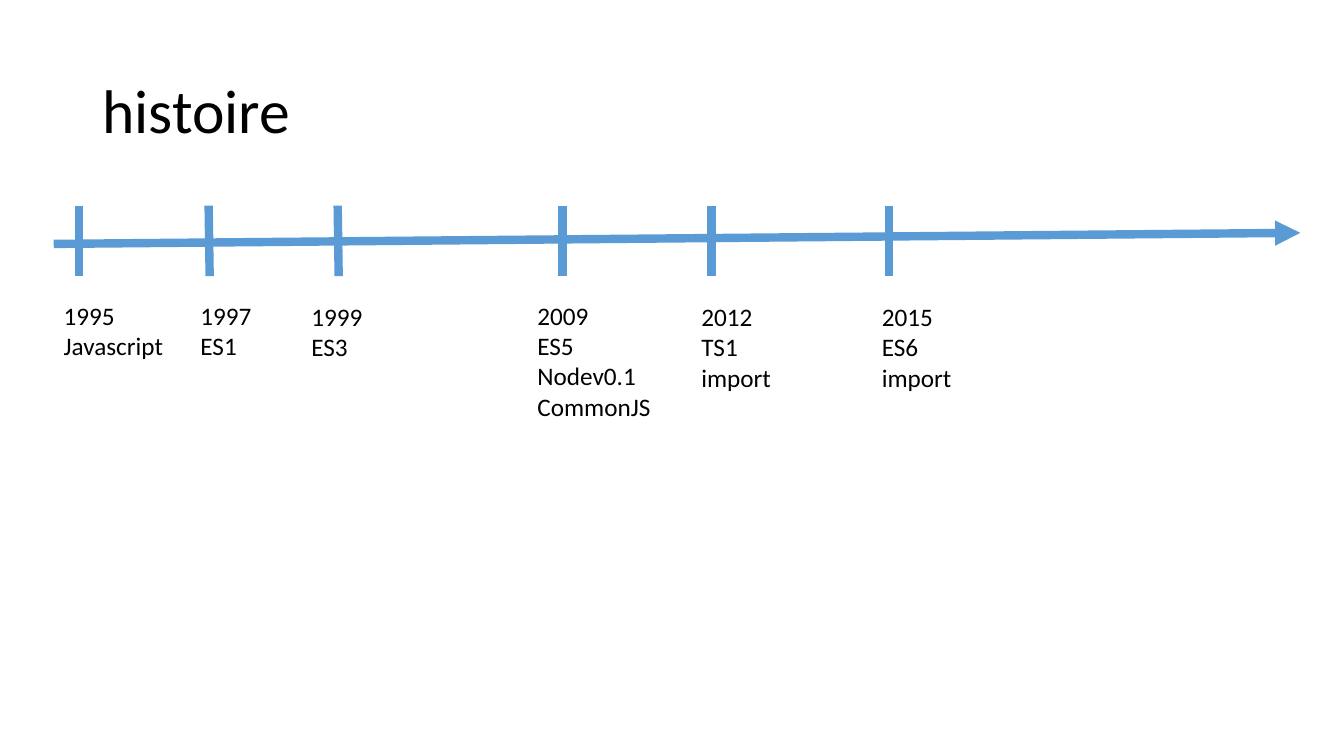
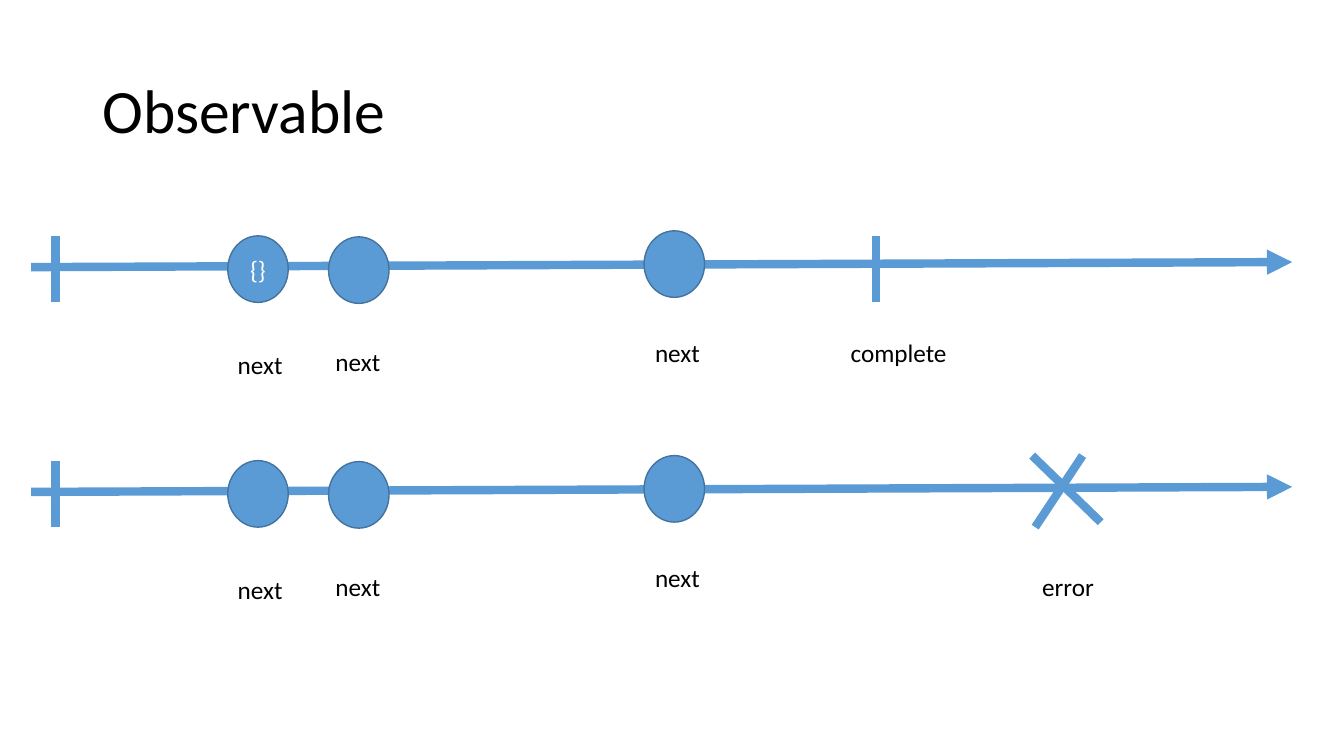
import pptx
import pptx.dml.color
import pptx.enum.shapes
import pptx.enum.text
import pptx.oxml.ns
import pptx.util
from lxml import etree

# Grid: 40 columns by 22.5 rows, each a third of an inch
COLUMNS, ROWS = 40, 22.5
CELL = pptx.util.Inches(1) / 3

# Shared style
FONT = "Calibri"
BLACK, WHITE = "000000", "FFFFFF"
BLUE, OUTLINE = "5B9BD5", "43739E"
BODY_SIZE, TITLE_SIZE, STROKE = 18, 44, 6

# Label height: box margins plus one line per paragraph
LABEL_MARGIN, LABEL_LINE = 0.3, 0.91

# History: tick top, tick bottom, and tick x, tick lean, label x, y, width, lines
TICK_TOP, TICK_BOTTOM = 6.12, 8.22
MILESTONES = [
    (2.36, 0, 1.6, 8.79, 3.6, ["1995", "Javascript"]),
    (6.21, 0.03, 5.67, 8.79, 2.13, ["1997", "ES1"]),
    (10.05, 0.03, 8.97, 8.82, 2.13, ["1999", "ES3"]),
    (16.74, 0, 15.7, 8.79, 4.02, ["2009", "ES5", "Nodev0.1", "CommonJS"]),
    (21.18, 0, 20.58, 8.82, 2.7, ["2012", "TS1", "import"]),
    (26.46, 0, 25.95, 8.82, 2.7, ["2015", "ES6", "import"]),
]

# Observable: the streams repeat at one pitch; events are relative to their top
STREAM_TOP, STREAM_PITCH = 7.02, 6.69
MARK_WIDTH, MARK_HEIGHT = 1.8, 1.98
# circle x, circle y, label x, label y
EVENTS = [
    (6.78, 0, 6.78, 3.24),
    (9.78, 0.03, 9.69, 3.15),
    (19.17, -0.15, 19.2, 2.88),
]


def grid(*cells):
    return [pptx.util.Emu(round(cell * CELL)) for cell in cells]


def color(value):
    return pptx.dml.color.RGBColor.from_string(value)


def write(frame, lines, size, ink, align=None, spacing=None):
    for index, line in enumerate(lines):
        para = frame.paragraphs[0] if index == 0 else frame.add_paragraph()
        para.text = line
        para.font.name = FONT
        para.font.size = pptx.util.Pt(size)
        para.font.color.rgb = color(ink)
        para.alignment = align
        para.line_spacing = spacing


def add_page(deck, title):
    page = deck.slides.add_slide(deck.slide_layouts[6])
    frame = page.shapes.add_textbox(*grid(2.75, 1.2, 34.5, 4.35)).text_frame
    frame.word_wrap = True
    frame.vertical_anchor = pptx.enum.text.MSO_ANCHOR.MIDDLE
    write(frame, [title], TITLE_SIZE, BLACK, spacing=0.9)
    return page


def add_label(page, left, top, width, lines):
    height = LABEL_MARGIN + LABEL_LINE * len(lines)
    frame = page.shapes.add_textbox(*grid(left, top, width, height)).text_frame
    frame.word_wrap = False
    frame.auto_size = pptx.enum.text.MSO_AUTO_SIZE.SHAPE_TO_FIT_TEXT
    write(frame, lines, BODY_SIZE, BLACK)


def add_stroke(page, start_x, start_y, end_x, end_y, arrow=False):
    stroke = page.shapes.add_connector(
        pptx.enum.shapes.MSO_CONNECTOR.STRAIGHT,
        *grid(start_x, start_y, end_x, end_y))
    stroke.line.color.rgb = color(BLUE)
    stroke.line.width = pptx.util.Pt(STROKE)
    name = pptx.oxml.ns.qn
    properties = stroke.element.spPr
    if arrow:
        etree.SubElement(properties.find(name("a:ln")), name("a:tailEnd"),
                         type="triangle")
    etree.SubElement(properties, name("a:effectLst"))


def add_circle(page, left, top, text):
    circle = page.shapes.add_shape(
        pptx.enum.shapes.MSO_SHAPE.OVAL,
        *grid(left, top, MARK_WIDTH, MARK_HEIGHT))
    circle.shadow.inherit = False
    circle.fill.solid()
    circle.fill.fore_color.rgb = color(BLUE)
    circle.line.color.rgb = color(OUTLINE)
    circle.line.width = pptx.util.Pt(1)
    if text:
        circle.text_frame.vertical_anchor = pptx.enum.text.MSO_ANCHOR.MIDDLE
        write(circle.text_frame, [text], BODY_SIZE, WHITE,
              pptx.enum.text.PP_ALIGN.CENTER)


def add_stream(page, top, circle_texts):
    add_stroke(page, 0.93, top + 0.93, 38.46, top + 0.78, arrow=True)
    add_stroke(page, 1.65, top, 1.65, top + MARK_HEIGHT)
    for (left, drop, label_left, label_drop), text in zip(EVENTS, circle_texts):
        add_circle(page, left, top + drop, text)
        add_label(page, label_left, top + label_drop, 1.95, ["next"])


def build_history(deck):
    page = add_page(deck, "histoire")
    add_stroke(page, 1.6, 7.26, 38.7, 6.93, arrow=True)
    for tick, lean, left, top, width, lines in MILESTONES:
        add_stroke(page, tick, TICK_TOP, tick + lean, TICK_BOTTOM)
        add_label(page, left, top, width, lines)


def build_observable(deck):
    page = add_page(deck, "Observable")

    # Stream that completes
    top = STREAM_TOP
    add_stream(page, top, ["{}", "", ""])
    add_stroke(page, 26.07, top, 26.07, top + MARK_HEIGHT)
    add_label(page, 25.02, top + 2.88, 3.5, ["complete"])

    # Stream that fails, ending in a cross
    top += STREAM_PITCH
    add_stream(page, top, ["", "", ""])
    add_stroke(page, 30.72, top - 0.15, 32.76, top + 1.83)
    add_stroke(page, 32.22, top - 0.15, 30.81, top + 1.98)
    add_label(page, 30.72, top + 3.15, 2.16, ["error"])


def main():
    deck = pptx.Presentation()
    deck.slide_width, deck.slide_height = grid(COLUMNS, ROWS)
    build_history(deck)
    build_observable(deck)
    deck.save("out.pptx")


main()
